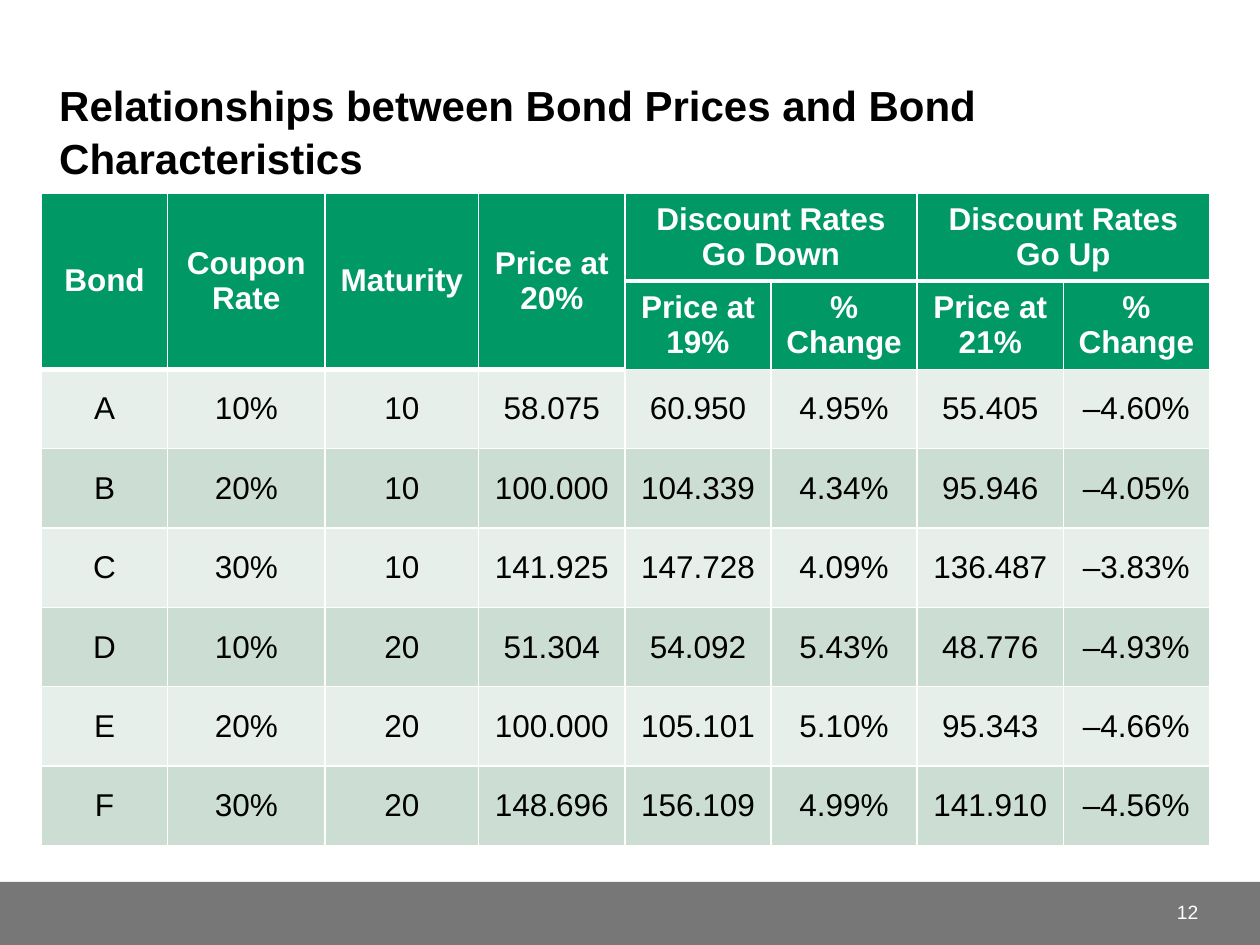
from typing import NamedTuple

from lxml.etree import SubElement
from pptx import Presentation
from pptx.dml.color import RGBColor
from pptx.enum.shapes import MSO_SHAPE
from pptx.enum.text import MSO_ANCHOR, MSO_AUTO_SIZE, PP_ALIGN
from pptx.oxml.ns import qn
from pptx.slide import Slide
from pptx.table import _Cell
from pptx.text.text import TextFrame
from pptx.util import Inches, Pt

WHITE = RGBColor(0xFF, 0xFF, 0xFF)
BLACK = RGBColor(0, 0, 0)
GREEN = RGBColor(0x00, 0x99, 0x66)
BAND_COLORS = RGBColor(0xE7, 0xEF, 0xEA), RGBColor(0xCC, 0xDE, 0xD3)
FOOTER_GRAY = RGBColor(0x77, 0x77, 0x77)

SLIDE_WIDTH, SLIDE_HEIGHT = 10, 7.5
FOOTER_HEIGHT = 0.5
COLUMN_WIDTHS = [1, 1.25, 1.22] + [1.16] * 5
ROW_HEIGHT = 0.63
HEADER_ROWS = 2


class Header(NamedTuple):
    text: str
    row: int
    column: int
    row_span: int = 1
    column_span: int = 1


class Bond(NamedTuple):
    name: str
    coupon: str
    maturity: str
    price: str
    price_down: str
    change_down: str
    price_up: str
    change_up: str


HEADERS = [
    Header("Bond", 0, 0, row_span=2),
    Header("Coupon Rate", 0, 1, row_span=2),
    Header("Maturity", 0, 2, row_span=2),
    Header("Price at 20%", 0, 3, row_span=2),
    Header("Discount Rates Go Down", 0, 4, column_span=2),
    Header("Discount Rates Go Up", 0, 6, column_span=2),
    Header("Price at 19%", 1, 4),
    Header("% Change", 1, 5),
    Header("Price at 21%", 1, 6),
    Header("% Change", 1, 7),
]

BONDS = [
    Bond("A", "10%", "10", "58.075", "60.950", "4.95%", "55.405", "–4.60%"),
    Bond("B", "20%", "10", "100.000", "104.339", "4.34%", "95.946", "–4.05%"),
    Bond("C", "30%", "10", "141.925", "147.728", "4.09%", "136.487", "–3.83%"),
    Bond("D", "10%", "20", "51.304", "54.092", "5.43%", "48.776", "–4.93%"),
    Bond("E", "20%", "20", "100.000", "105.101", "5.10%", "95.343", "–4.66%"),
    Bond("F", "30%", "20", "148.696", "156.109", "4.99%", "141.910", "–4.56%"),
]


def write_text(frame: TextFrame, *lines: str, size: float, color: RGBColor = BLACK,
               bold: bool = False, align: PP_ALIGN = PP_ALIGN.LEFT,
               line_gap: float = 0) -> None:
    """Write each line as a paragraph; line_gap is the space in points between them."""
    for index, line in enumerate(lines):
        para = frame.add_paragraph() if index else frame.paragraphs[0]
        para.alignment = align
        para.space_before = Pt(line_gap if index else 0)
        span = para.add_run()
        span.text = line
        span.font.name = "Arial"
        span.font.size = Pt(size)
        span.font.bold = bold
        span.font.color.rgb = color


def style_cell(cell: _Cell, fill: RGBColor, bottom_width: float = 1) -> None:
    properties = cell._tc.get_or_add_tcPr()
    for side, width in zip("LRTB", (1, 1, 1, bottom_width)):
        line = SubElement(properties, qn(f"a:ln{side}"), w=str(Pt(width)))
        solid = SubElement(line, qn("a:solidFill"))
        SubElement(solid, qn("a:srgbClr"), val=str(WHITE))
    cell.fill.solid()
    cell.fill.fore_color.rgb = fill
    cell.vertical_anchor = MSO_ANCHOR.MIDDLE


def add_title(slide: Slide) -> None:
    title = slide.shapes.title
    title.left, title.top = Inches(0.37), Inches(0.58)
    title.width, title.height = Inches(9.25), Inches(0.92)
    frame = title.text_frame
    frame.word_wrap = True
    frame.auto_size = MSO_AUTO_SIZE.NONE
    frame.vertical_anchor = MSO_ANCHOR.BOTTOM
    write_text(frame, "Relationships between Bond Prices and Bond", "Characteristics",
               size=24, bold=True, line_gap=1.5)


def add_footer(slide: Slide, number: str) -> None:
    band = slide.shapes.add_shape(
        MSO_SHAPE.RECTANGLE, 0, Inches(SLIDE_HEIGHT - FOOTER_HEIGHT),
        Inches(SLIDE_WIDTH), Inches(FOOTER_HEIGHT))
    band.shadow.inherit = False
    band.fill.solid()
    band.fill.fore_color.rgb = FOOTER_GRAY
    band.line.fill.background()
    box = slide.shapes.add_textbox(Inches(8.75), Inches(7.04), Inches(0.86), Inches(0.4))
    box.text_frame.word_wrap = True
    box.text_frame.vertical_anchor = MSO_ANCHOR.MIDDLE
    write_text(box.text_frame, number, size=11, color=WHITE, align=PP_ALIGN.RIGHT)


def add_bond_table(slide: Slide) -> None:
    row_count = HEADER_ROWS + len(BONDS)
    table = slide.shapes.add_table(
        row_count, len(COLUMN_WIDTHS), Inches(0.33), Inches(1.53),
        Inches(sum(COLUMN_WIDTHS)), Inches(row_count * ROW_HEIGHT)).table
    for column, width in zip(table.columns, COLUMN_WIDTHS):
        column.width = Inches(width)

    for header in HEADERS:
        rows = range(header.row, header.row + header.row_span)
        columns = range(header.column, header.column + header.column_span)
        for row in rows:
            for column in columns:
                style_cell(table.cell(row, column), GREEN,
                           bottom_width=3 if header.row == 0 else 1)
        cell = table.cell(header.row, header.column)
        if len(rows) * len(columns) > 1:
            cell.merge(table.cell(rows[-1], columns[-1]))
        write_text(cell.text_frame, header.text, size=18, color=WHITE, bold=True,
                   align=PP_ALIGN.CENTER)

    for index, bond in enumerate(BONDS):
        for column, value in enumerate(bond):
            cell = table.cell(HEADER_ROWS + index, column)
            style_cell(cell, BAND_COLORS[index % 2])
            write_text(cell.text_frame, value, size=18, align=PP_ALIGN.CENTER)


def main() -> None:
    deck = Presentation()
    deck.slide_width, deck.slide_height = Inches(SLIDE_WIDTH), Inches(SLIDE_HEIGHT)
    page = deck.slides.add_slide(deck.slide_layouts.get_by_name("Title Only"))
    add_footer(page, "12")
    add_bond_table(page)
    add_title(page)
    deck.save("out.pptx")


if __name__ == "__main__":
    main()
